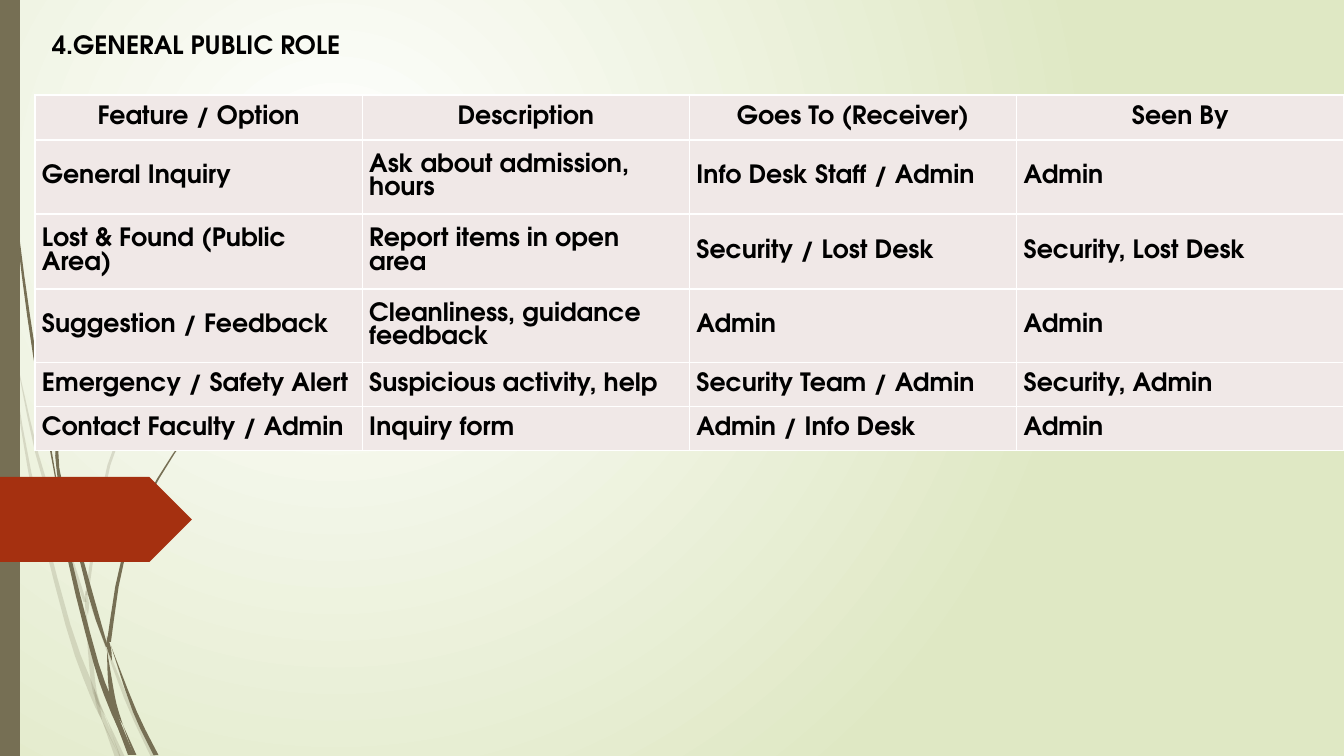
from lxml.etree import SubElement, fromstring
from pptx import Presentation
from pptx.dml.color import RGBColor
from pptx.enum.shapes import MSO_SHAPE
from pptx.enum.text import MSO_ANCHOR, PP_ALIGN
from pptx.oxml.ns import nsdecls, qn
from pptx.util import Emu, Pt

PIXEL = 914400 / 100.8
FONT = "TeX Gyre Adventor"
BLACK = RGBColor(0x00, 0x00, 0x00)
WHITE = RGBColor(0xFF, 0xFF, 0xFF)
PALE_GREEN = RGBColor(0xDF, 0xE8, 0xC4)
OLIVE = RGBColor(0x76, 0x6F, 0x54)
RUST = RGBColor(0xA5, 0x30, 0x10)
ROSE = RGBColor(0xF0, 0xE8, 0xE7)


def px(*lengths):
    return [Emu(round(length * PIXEL)) for length in lengths]


def add_bold_text(para, text):
    span = para.add_run()
    span.text = text
    span.font.name = FONT
    span.font.size = Pt(18)
    span.font.bold = True
    span.font.color.rgb = BLACK


deck = Presentation()
deck.slide_width, deck.slide_height = px(1344, 756)
page = deck.slides.add_slide(deck.slide_layouts[5])

# Background: pale green with a white glow at the upper left
backdrop = page.background.fill
backdrop.gradient()
for stop, color in zip(backdrop.gradient_stops, (WHITE, PALE_GREEN)):
    stop.color.rgb = color
gradient = page.background._cSld.find(".//" + qn("a:gradFill"))
gradient.remove(gradient.find(qn("a:lin")))
gradient.append(fromstring(
    f'<a:path {nsdecls("a")} path="circle">'
    '<a:fillToRect l="50000" t="50000" r="100000" b="100000"/></a:path>'))

# Grass wisps: centre x, y and width at points along each piece of blade
faint_wisps = [
    [(0, 293, 1), (5, 325, 3), (11, 353, 1)],
    [(14, 348, 0), (37, 454, 3), (60, 525, 4), (85, 602, 3)],
    [(89, 601, 0), (126, 698, 4), (153, 756, 5)],
    [(106, 717, 0), (122, 756, 5)],
    [(11, 353, 0), (30, 473, 3), (68, 625, 5), (93, 694, 7), (102, 720, 0)],
    [(85, 604, 0), (90, 651, 4), (95, 693, 4), (106, 717, 0)],
    [(314, 154, 1), (270, 199, 1), (230, 246, 1), (160, 351, 2),
     (109, 465, 3), (87, 595, 3)],
    [(102, 720, 0), (117, 756, 5)],
    [(86, 591, 1), (87, 604, 4), (88, 615, 0)],
    [(94, 688, 0), (101, 713, 5), (120, 756, 1)],
]
dark_wisps = [
    [(3, 0, 1), (7, 110, 1), (18, 234, 2), (35, 358, 3), (57, 485, 1)],
    [(60, 476, 0), (91, 596, 5), (107, 647, 2)],
    [(111, 646, 0), (135, 712, 4), (156, 755, 5)],
    [(57, 481, 0), (70, 561, 4), (96, 663, 5), (111, 705, 6), (118, 728, 0)],
    [(71, 142, 1), (57, 247, 2), (53, 352, 2), (57, 454, 3), (60, 476, 0)],
    [(123, 725, 0), (135, 755, 3)],
    [(55, 453, 0), (60, 481, 4), (64, 509, 0)],
    [(262, 347, 1), (233, 376, 1), (206, 409, 1), (158, 479, 2),
     (124, 555, 3), (109, 642, 4)],
    [(118, 728, 0), (130, 755, 4)],
    [(107, 650, 0), (110, 680, 4), (114, 704, 5), (123, 725, 0)],
    [(107, 636, 0), (109, 648, 4), (112, 661, 0)],
    [(111, 697, 0), (118, 722, 5), (132, 755, 4)],
]
STEPS = 3
for wisps, opacity in ((faint_wisps, 20), (dark_wisps, 100)):
    for knots in wisps:
        ends = [knots[0], *knots, knots[-1]]
        curve = []
        for before, start, finish, after in zip(ends, ends[1:], ends[2:], ends[3:]):
            for step in range(STEPS):
                t = step / STEPS
                curve.append([
                    b + (c - a) * t / 2 + (2 * a - 5 * b + 4 * c - d) * t**2 / 2
                    + (3 * b - a - 3 * c + d) * t**3 / 2
                    for a, b, c, d in zip(before, start, finish, after)])
        curve.append(knots[-1])
        left_edge = [(x - width / 2, y) for x, y, width in curve]
        right_edge = [(x + width / 2, y) for x, y, width in curve]
        outline = [px(*point) for point in left_edge + right_edge[::-1]]
        builder = page.shapes.build_freeform(*outline[0])
        builder.add_line_segments(outline[1:])
        blade = builder.convert_to_shape()
        blade.shadow.inherit = False
        blade.line.fill.background()
        blade.fill.solid()
        blade.fill.fore_color.rgb = OLIVE
        if opacity < 100:
            tint = blade._element.spPr.find(".//" + qn("a:srgbClr"))
            SubElement(tint, qn("a:alpha"), val=str(opacity * 1000))

# Side bar and arrow
for preset, bounds, color in (
        (MSO_SHAPE.RECTANGLE, (0, 0, 20, 756), OLIVE),
        (MSO_SHAPE.PENTAGON, (0, 477, 192, 85), RUST)):
    accent = page.shapes.add_shape(preset, *px(*bounds))
    accent.shadow.inherit = False
    accent.fill.solid()
    accent.fill.fore_color.rgb = color
    accent.line.fill.background()

# Title
title = page.shapes.title
title.left, title.top, title.width, title.height = px(42, 24, 1302, 71)
title.text_frame.word_wrap = True
title.text_frame.vertical_anchor = MSO_ANCHOR.TOP
heading = title.text_frame.paragraphs[0]
heading.alignment = PP_ALIGN.LEFT
add_bold_text(heading, "4.GENERAL PUBLIC ROLE")

# Table of public features
features = [
    ("Feature / Option", "Description", "Goes To (Receiver)", "Seen By"),
    ("General Inquiry", "Ask about admission, hours", "Info Desk Staff / Admin", "Admin"),
    ("Lost & Found (Public Area)", "Report items in open area",
     "Security / Lost Desk", "Security, Lost Desk"),
    ("Suggestion / Feedback", "Cleanliness, guidance feedback", "Admin", "Admin"),
    ("Emergency / Safety Alert", "Suspicious activity, help",
     "Security Team / Admin", "Security, Admin"),
    ("Contact Faculty / Admin", "Inquiry form", "Admin / Info Desk", "Admin"),
]
row_heights = px(45, 74, 75, 74, 44, 44)
table = page.shapes.add_table(
    len(features), len(features[0]), *px(35, 95, 1309, 356)).table
for row, height in zip(table.rows, row_heights):
    row.height = height
for row_number, feature in enumerate(features):
    for column_number, text in enumerate(feature):
        cell = table.cell(row_number, column_number)
        cell.vertical_anchor = MSO_ANCHOR.MIDDLE
        (cell.margin_left, cell.margin_right,
         cell.margin_top, cell.margin_bottom) = px(7, 7, 7, 7)
        para = cell.text_frame.paragraphs[0]
        para.alignment = PP_ALIGN.LEFT if row_number else PP_ALIGN.CENTER
        add_bold_text(para, text)
        properties = cell._tc.get_or_add_tcPr()
        for side in ("lnL", "lnR", "lnT", "lnB"):
            border = SubElement(properties, qn("a:" + side), w=str(Pt(1)))
            paint = SubElement(border, qn("a:solidFill"))
            SubElement(paint, qn("a:srgbClr"), val=str(WHITE))
        cell.fill.solid()
        cell.fill.fore_color.rgb = ROSE

deck.save("out.pptx")
